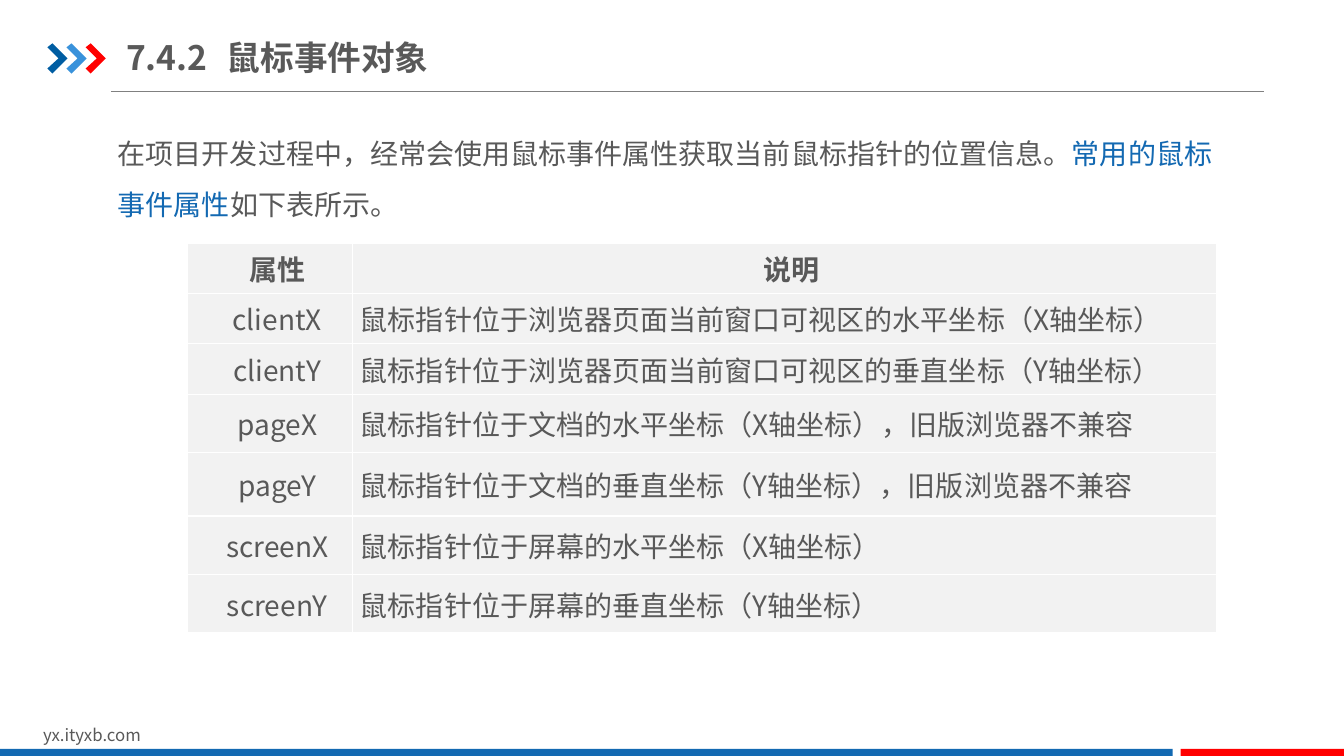
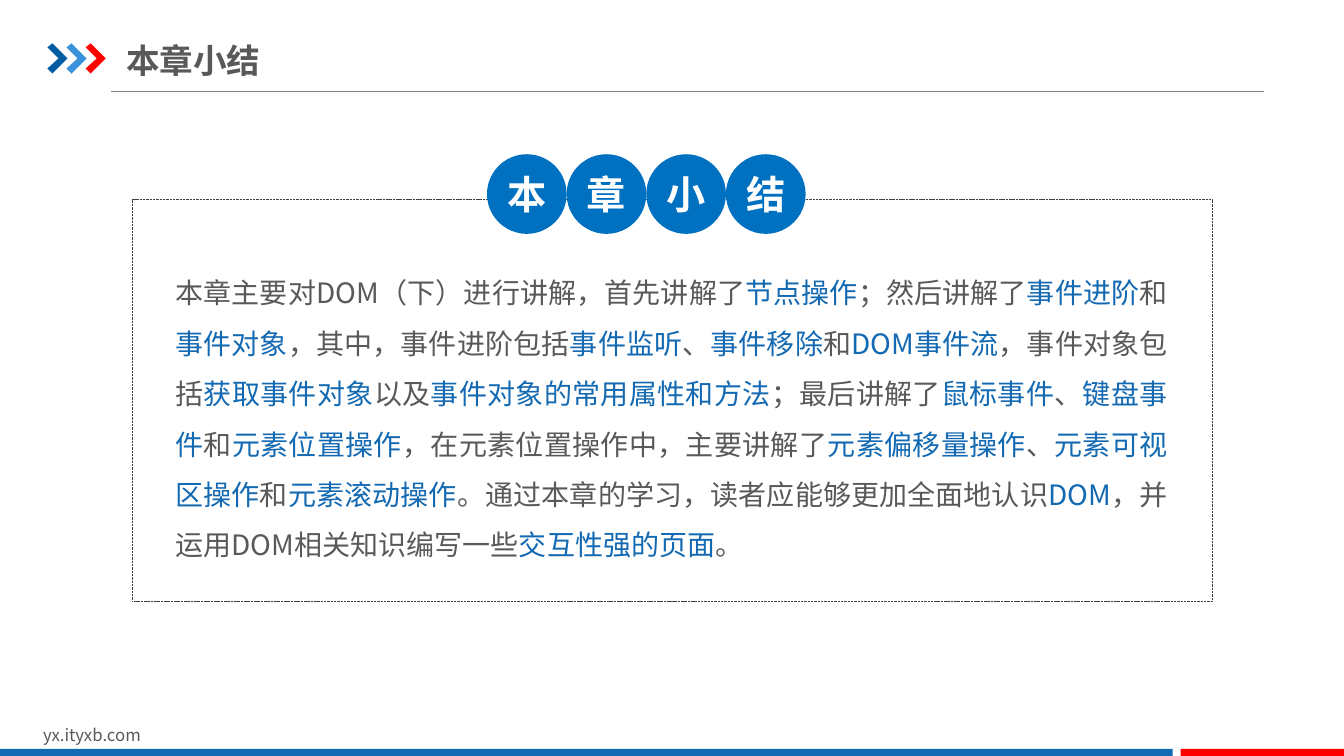
from dataclasses import dataclass

from lxml import etree
from pptx import Presentation
from pptx import util as u
from pptx.dml.color import RGBColor
from pptx.enum import dml, shapes, text
from pptx.oxml.ns import qn

PX = 9144  # EMU in one px, 100 px to the inch


@dataclass(frozen=True)
class Theme:
    font: str = "Noto Sans CJK SC"
    ink: str = "595959"
    accent: str = "1369B2"
    red: str = "FF0000"
    white: str = "FFFFFF"
    rule: str = "808080"
    dash: str = "404040"
    cell: str = "F2F2F2"
    circle: str = "0070C0"
    chevrons: tuple = ("005DA2", "3992DB", "FF0000")
    footer_size: int = 12
    body_size: int = 20
    title_size: int = 24
    circle_size: int = 28


def rgb(colour):
    return RGBColor.from_string(colour)


def lengths(*px):
    return [u.Emu(value * PX) for value in px]


class Deck:
    def __init__(self, theme):
        self.theme = theme
        self.prs = Presentation()
        self.prs.slide_width, self.prs.slide_height = lengths(1333, 750)
        self.layout = self.prs.slide_layouts.get_by_name("Title Only")
        self.slide = None

    def add_slide(self, title, top, width, height):
        first = len(self.prs.slides) == 0
        self.slide = self.prs.slides.add_slide(self.layout)
        if first:
            self.furnish_layout()
        heading = self.slide.shapes.title
        heading.left, heading.top, heading.width, heading.height = lengths(125, top, width, height)
        frame = self.frame(heading, (0, 7, 0, 7), text.MSO_ANCHOR.MIDDLE)
        self.set_words(frame, title, self.theme.title_size, bold=True)

    def furnish_layout(self):
        """Draw the shared parts on the first slide and move them to the layout."""
        for placeholder in list(self.layout.placeholders):
            if placeholder.placeholder_format.type != shapes.PP_PLACEHOLDER.TITLE:
                self.layout.shapes.element.remove(placeholder.element)
        t = self.theme
        self.line(110, 91, 1254, 91, t.rule, 0.75)
        for i, colour in enumerate(t.chevrons):
            self.chevron(47 + 19 * i, 43, colour)
        self.text_box(33, 714, 318, 30, "yx.ityxb.com", t.footer_size)
        self.shape(0, 743, 1163, 7, fill=t.accent)
        self.shape(1171, 743, 162, 7, fill=t.red)
        for part in list(self.slide.shapes):
            if not part.is_placeholder:
                self.layout.shapes.element.append(part.element)

    def frame(self, holder, insets, anchor):
        frame = holder.text_frame
        frame.word_wrap = True
        frame.auto_size = text.MSO_AUTO_SIZE.NONE
        frame.vertical_anchor = anchor
        (frame.margin_left, frame.margin_top,
         frame.margin_right, frame.margin_bottom) = lengths(*insets)
        return frame

    def set_words(self, frame, words, size, colour=None, bold=False,
                  align=text.PP_ALIGN.LEFT, spacing=None, indent=0):
        """Fill the first paragraph; words between bars take the accent colour."""
        paragraph = frame.paragraphs[0]
        paragraph.alignment = align
        if spacing:
            paragraph.line_spacing = spacing
        properties = paragraph._p.get_or_add_pPr()
        if indent:
            properties.set("marL", "0")
            properties.set("indent", str(indent * PX))
        for i, piece in enumerate(words.split("|")):
            run = paragraph.add_run()
            run.text = piece
            if i % 2:
                run.font.color.rgb = rgb(self.theme.accent)
        font = paragraph.font
        font.name, font.size, font.bold = self.theme.font, u.Pt(size), bold
        font.color.rgb = rgb(colour or self.theme.ink)
        etree.SubElement(properties.find(qn("a:defRPr")), qn("a:ea"), typeface=self.theme.font)

    def text_box(self, x, y, w, h, words, size, insets=(10, 5, 10, 5), **style):
        box = self.slide.shapes.add_textbox(*lengths(x, y, w, h))
        self.set_words(self.frame(box, insets, text.MSO_ANCHOR.TOP), words, size, **style)

    def paint(self, shape, fill):
        shape.shadow.inherit = False
        shape.line.fill.background()
        if fill:
            shape.fill.solid()
            shape.fill.fore_color.rgb = rgb(fill)
        else:
            shape.fill.background()

    def shape(self, x, y, w, h, fill=None, kind=shapes.MSO_SHAPE.RECTANGLE):
        shape = self.slide.shapes.add_shape(kind, *lengths(x, y, w, h))
        self.paint(shape, fill)
        return shape

    def chevron(self, x, y, colour):
        outline = [(0, 4), (5, 0), (20, 15), (5, 30), (0, 25), (11, 15)]
        points = [(x + dx, y + dy) for dx, dy in outline]
        builder = self.slide.shapes.build_freeform(*points[0], scale=PX)
        builder.add_line_segments(points[1:], close=True)
        self.paint(builder.convert_to_shape(), colour)

    def line(self, x1, y1, x2, y2, colour, width):
        line = self.slide.shapes.add_connector(
            shapes.MSO_CONNECTOR.STRAIGHT, *lengths(x1, y1, x2, y2))
        line.line.color.rgb = rgb(colour)
        line.line.width = u.Pt(width)
        etree.SubElement(line.element.spPr, qn("a:effectLst"))

    def dashed_panel(self, x, y, w, h):
        outline = self.shape(x, y, w, h).line
        outline.color.rgb = rgb(self.theme.dash)
        outline.width = u.Pt(0.25)
        outline.dash_style = dml.MSO_LINE.SQUARE_DOT

    def circles(self, x, y, size, letters):
        for i, letter in enumerate(letters):
            circle = self.shape(x + size * i, y, size, size, self.theme.circle,
                                shapes.MSO_SHAPE.OVAL)
            frame = self.frame(circle, (0, 0, 0, 0), text.MSO_ANCHOR.MIDDLE)
            self.set_words(frame, letter, self.theme.circle_size, self.theme.white,
                           bold=True, align=text.PP_ALIGN.CENTER)

    def borders(self, cell):
        properties = cell._tc.get_or_add_tcPr()
        for side in ("lnL", "lnR", "lnT", "lnB"):
            border = etree.SubElement(properties, qn(f"a:{side}"), w=str(int(u.Pt(1))))
            fill = etree.SubElement(border, qn("a:solidFill"))
            etree.SubElement(fill, qn("a:srgbClr"), val=self.theme.white)

    def table(self, x, y, widths, heights, rows):
        table = self.slide.shapes.add_table(
            len(rows), len(widths), *lengths(x, y, sum(widths), sum(heights))).table
        table.horz_banding = False
        for column, width in zip(table.columns, lengths(*widths)):
            column.width = width
        for row, height in zip(table.rows, lengths(*heights)):
            row.height = height
        for r, row in enumerate(rows):
            for c, words in enumerate(row):
                cell = table.cell(r, c)
                self.borders(cell)
                cell.fill.solid()
                cell.fill.fore_color.rgb = rgb(self.theme.cell)
                cell.vertical_anchor = text.MSO_ANCHOR.MIDDLE
                cell.margin_left, cell.margin_right = lengths(7, 7)
                cell.margin_top, cell.margin_bottom = lengths(0, 0)
                centred = r == 0 or c == 0
                self.set_words(cell.text_frame, words, self.theme.body_size, bold=r == 0,
                               align=text.PP_ALIGN.CENTER if centred else text.PP_ALIGN.LEFT,
                               indent=14 if centred else 0)


MOUSE_INTRO = ("在项目开发过程中，经常会使用鼠标事件属性获取当前鼠标指针的位置信息。"
               "|常用的鼠标事件属性|如下表所示。")

MOUSE_PROPERTIES = [
    ("属性", "说明"),
    ("clientX", "鼠标指针位于浏览器页面当前窗口可视区的水平坐标（X轴坐标）"),
    ("clientY", "鼠标指针位于浏览器页面当前窗口可视区的垂直坐标（Y轴坐标）"),
    ("pageX", "鼠标指针位于文档的水平坐标（X轴坐标），旧版浏览器不兼容"),
    ("pageY", "鼠标指针位于文档的垂直坐标（Y轴坐标），旧版浏览器不兼容"),
    ("screenX", "鼠标指针位于屏幕的水平坐标（X轴坐标）"),
    ("screenY", "鼠标指针位于屏幕的垂直坐标（Y轴坐标）"),
]

CHAPTER_SUMMARY = (
    "本章主要对DOM（下）进行讲解，首先讲解了|节点操作|；然后讲解了|事件进阶|和|事件对象|，"
    "其中，事件进阶包括|事件监听|、|事件移除|和|DOM事件流|，事件对象包括|获取事件对象|以及"
    "|事件对象的常用属性和方法|；最后讲解了|鼠标事件|、|键盘事件|和|元素位置操作|，"
    "在元素位置操作中，主要讲解了|元素偏移量操作|、|元素可视区操作|和|元素滚动操作|。"
    "通过本章的学习，读者应能够更加全面地认识|DOM|，并运用DOM相关知识编写一些|交互性强的页面|。"
)


def main():
    theme = Theme()
    deck = Deck(theme)

    deck.add_slide("7.4.2\t鼠标事件对象", 29, 353, 55)
    deck.text_box(107, 114, 1126, 111, MOUSE_INTRO, theme.body_size, spacing=1.5)
    deck.table(186, 241, (164, 857), (50, 50, 50, 58, 63, 58, 58), MOUSE_PROPERTIES)

    deck.add_slide("本章小结", 36, 526, 48)
    deck.dashed_panel(131, 198, 1071, 398)
    deck.text_box(174, 257, 984, 303, CHAPTER_SUMMARY, theme.body_size, insets=(0, 0, 0, 0),
                  align=text.PP_ALIGN.JUSTIFY, spacing=1.5)
    deck.circles(483, 153, 79, "本章小结")

    deck.prs.save("out.pptx")


if __name__ == "__main__":
    main()
